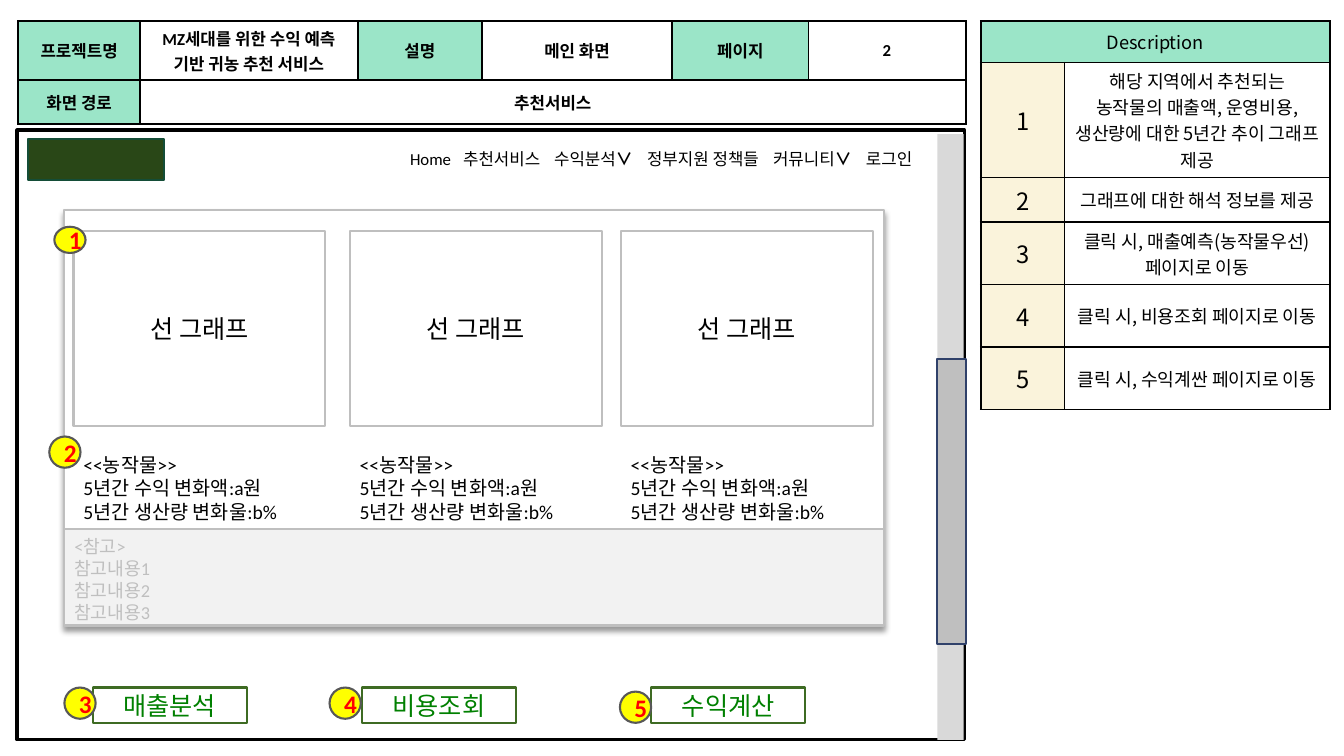
from lxml import etree
from pptx import Presentation, util as u
from pptx.dml.color import RGBColor
from pptx.enum import shapes, text
from pptx.oxml import ns

HUES = {
    "black": "000000", "white": "FFFFFF", "mint": "9BE5C8", "cream": "FAF3DB",
    "gray": "BFBFBF", "track": "D9D9D9", "pale": "F2F2F2", "navy": "30416A",
    "forest": "294717", "pine": "144D37", "leaf": "3E6B23", "green": "008000",
    "yellow": "FFFF00", "slate": "585858", "red": "FF0000",
}
NOTO = "Noto Sans CJK KR"
RECT, OVAL = shapes.MSO_SHAPE.RECTANGLE, shapes.MSO_SHAPE.OVAL
LEFT, MID = text.PP_ALIGN.LEFT, text.PP_ALIGN.CENTER

HEAD = [["프로젝트명", "MZ세대를 위한 수익 예측 기반 귀농 추천 서비스", "설명", "메인 화면", "페이지", "2"],
        ["화면 경로", "추천서비스", "", "", "", ""]]
NOTES = ["해당 지역에서 추천되는 농작물의 매출액, 운영비용, 생산량에 대한 5년간 추이 그래프 제공",
         "그래프에 대한 해석 정보를 제공",
         "클릭 시, 매출예측(농작물우선) 페이지로 이동",
         "클릭 시, 비용조회 페이지로 이동",
         "클릭 시, 수익계싼 페이지로 이동"]
MENU = [("Home", 0), ("추천서비스", 37.9), ("수익분석∨", 102.9),
        ("정부지원 정책들", 169.3), ("커뮤니티∨", 259.3), ("로그인", 325.7)]
CROP = ["<<농작물>>", "5년간 수익 변화액:a원", "5년간 생산량 변화울:b%"]
HINTS = ["<참고>", "참고내용1", "참고내용2", "참고내용3"]


def rgb(hue):
    """Return the colour of a named hue."""
    return RGBColor.from_string(HUES[hue])


def node(root, tag, **attrs):
    """Append a drawing element and return it."""
    return etree.SubElement(root, ns.qn(tag), attrs)


def style(item, size, hue="black", bold=False, face="Calibri", east=None):
    """Format the font of a run."""
    font = item.font
    for key, val in {"size": u.Pt(size), "bold": bold, "name": face}.items():
        setattr(font, key, val)
    font.color.rgb = rgb(hue)
    node(item._r.get_or_add_rPr(), "a:ea", typeface=east or face)


def write(frame, lines, align, size, **form):
    """Fill a text frame with one paragraph per line."""
    frame.word_wrap = True
    for i, line in enumerate(lines):
        para = frame.add_paragraph() if i else frame.paragraphs[0]
        para.alignment = align
        run = para.add_run()
        run.text = line
        style(run, size, **form)


def shape(slide, box, fill=None, line=None, width=1.5, kind=RECT, label="", **form):
    """Draw a preset shape with an optional centred label."""
    item = slide.shapes.add_shape(kind, *map(u.Pt, box))
    item.shadow.inherit = False
    if fill:
        item.fill.solid()
        item.fill.fore_color.rgb = rgb(fill)
    else:
        item.fill.background()
    if line:
        item.line.color.rgb = rgb(line)
        item.line.width = u.Pt(width)
    else:
        item.line.fill.background()
    if label:
        item.text_frame.vertical_anchor = text.MSO_ANCHOR.MIDDLE
        write(item.text_frame, [label], MID, 18, **form)
    return item


def words(slide, box, lines, size, **form):
    """Place a left-aligned text box."""
    item = slide.shapes.add_textbox(*map(u.Pt, box))
    write(item.text_frame, lines, LEFT, size, **form)


def badge(slide, left, top, label, tall=22.3):
    """Draw a numbered yellow marker."""
    shape(slide, (left, top, 22.3, tall), "yellow", "slate", kind=OVAL,
          label=label, hue="red", bold=True)


def grid(slide, box, cols, rows):
    """Add a plain table with the given widths and heights."""
    table = slide.shapes.add_table(len(rows), len(cols), *map(u.Pt, box)).table
    for key in ("first_row", "horz_banding"):
        setattr(table, key, False)
    for parts, key, sizes in ((table.columns, "width", cols), (table.rows, "height", rows)):
        for part, size in zip(parts, sizes):
            setattr(part, key, u.Pt(size))
    return table


def cell(item, label, fill, edges, size, **form):
    """Fill one cell and draw its left, right, top and bottom edges."""
    props = item._tc.get_or_add_tcPr()
    for side, width in zip("LRTB", edges):
        edge = node(props, "a:ln" + side, w=str(u.Pt(width)))
        node(node(edge, "a:solidFill"), "a:srgbClr", val=HUES["black"])
    if fill:
        item.fill.solid()
        item.fill.fore_color.rgb = rgb(fill)
    else:
        item.fill.background()
    item.vertical_anchor = text.MSO_ANCHOR.MIDDLE
    if label:
        write(item.text_frame, [label], MID, size, **form)


def header(slide, box):
    """Build the project table above the screen."""
    table = grid(slide, box, (87.1, 155.5, 88.6, 136.1, 97.2, 112.3), (36, 31.7))
    table.cell(1, 1).merge(table.cell(1, 5))
    for r, row in enumerate(HEAD):
        for c, label in enumerate(row):
            named = c == 0 or (r == 0 and c % 2 == 0)
            cell(table.cell(r, c), label, "mint" if named else None,
                 [1.5] * 4, 12, bold=True, east=NOTO)


def legend(slide, box):
    """Build the numbered description table."""
    rows = [("Description", "")] + [(str(i), note) for i, note in enumerate(NOTES, 1)]
    table = grid(slide, box, (59.8, 189.4), [29.5] * len(rows))
    table.cell(0, 0).merge(table.cell(0, 1))
    for r, row in enumerate(rows):
        for c, label in enumerate(row):
            fill = "mint" if r == 0 else ("cream", "white")[c]
            edges = (1 if c else 1.5, 1.5 if c or r == 0 else 1, 1 if r else 1.5, 1)
            cell(table.cell(r, c), label, fill, edges, 17 if r and c == 0 else 13, face=NOTO)


def menu(slide, box):
    """Build the navigation line on tab stops."""
    frame = slide.shapes.add_textbox(*map(u.Pt, box)).text_frame
    frame.word_wrap = True
    para = frame.paragraphs[0]
    tabs = node(para._p.get_or_add_pPr(), "a:tabLst")
    for label, stop in MENU:
        if stop:
            node(tabs, "a:tab", pos=str(u.Pt(stop)), algn="l")
        name = label.rstrip("∨")
        for part, bold in ((("\t" if stop else "") + name, False), (label[len(name):], True)):
            if part:
                run = para.add_run()
                run.text = part
                style(run, 12, bold=bold)


def panel(slide, box):
    """Build the chart cards, their captions and the reference strip."""
    x, y, wide, _ = box
    base = shape(slide, box, "white", "gray")
    glow = node(base._element.spPr.find(ns.qn("a:effectLst")), "a:outerShdw",
                blurRad=str(u.Pt(4)), dist=str(u.Pt(3)), dir="5400000",
                algn="t", rotWithShape="0")
    node(node(glow, "a:srgbClr", val=HUES["black"]), "a:alpha", val="40000")
    for dx in (6.5, 203.8, 397.4):
        shape(slide, (x + dx, y + 15.1, 180, 139.7), "white", "gray", label="선 그래프")
        words(slide, (x + dx, y + 169.9, 180, 58.3), CROP, 14)
    badge(slide, x - 7.2, y + 12.2, "1", 18.7)
    badge(slide, x - 10.8, y + 162, "2")
    shape(slide, (x, y + 228.2, wide, 68.4), "pale", "gray")
    words(slide, (x, y + 229, wide, 85.7), HINTS, 13, hue="gray")


def links(slide, box):
    """Build the row of numbered buttons."""
    x, y, wide, tall = box
    row = (("매출분석", 0, -20.2, 0), ("비용조회", 192.2, -23, 0), ("수익계산", 398.9, -22.3, 2.9))
    for i, (label, dx, shift, drop) in enumerate(row, 3):
        shape(slide, (x + dx, y, wide, tall), "white", "leaf", label=label, hue="green")
        badge(slide, x + dx + shift, y + drop, str(i))


def screen(slide, box):
    """Build the framed page mock-up with its scroll bar."""
    x, y = box[:2]
    shape(slide, box, line="black", width=2.25)
    shape(slide, (x + 657.4, y + 2.9, 18.7, 432.7), "track")
    shape(slide, (x + 657.4, y + 163.4, 20.2, 203.8), "gray", "navy")
    shape(slide, (x + 7.9, y + 6.5, 97.2, 29.5), "forest", "pine")
    menu(slide, (x + 273.6, y + 10.1, 421.2, 20.9))
    panel(slide, (x + 33.8, y + 56.9, 585.4, 297.4))
    links(slide, (x + 54, y + 398.2, 110.2, 25.2))


def main():
    """Build and save the slide."""
    deck = Presentation()
    deck.slide_width, deck.slide_height = u.Pt(960), u.Pt(540)
    slide = deck.slides.add_slide(deck.slide_layouts[6])
    legend(slide, (700.6, 15.1, 249.1, 177))
    header(slide, (13, 15.1, 676.8, 67.7))
    screen(slide, (12.2, 92.9, 676.8, 435.6))
    deck.save("out.pptx")


if __name__ == "__main__":
    main()
